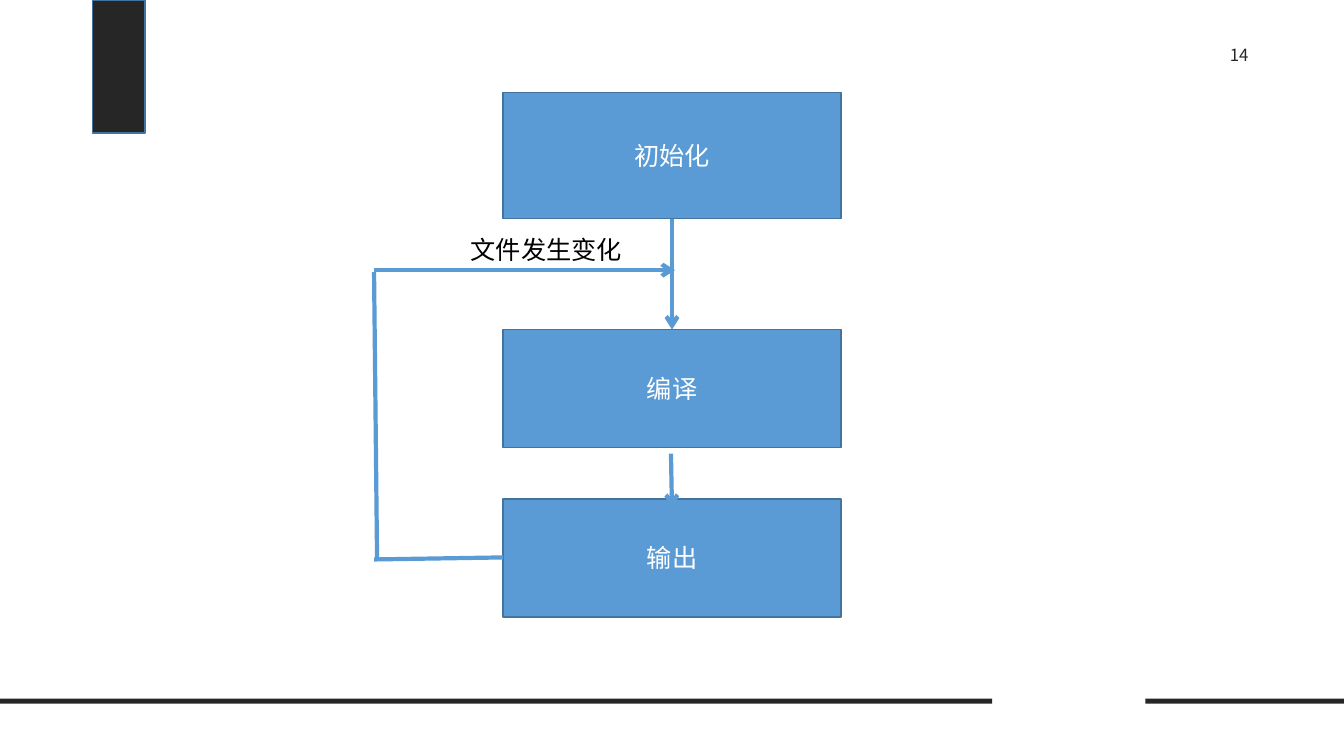
from dataclasses import dataclass

import pptx
import pptx.dml.color
import pptx.enum.shapes
import pptx.enum.text
import pptx.oxml.ns
import pptx.util
from lxml import etree

Inches = pptx.util.Inches
Align = pptx.enum.text.PP_ALIGN
Anchor = pptx.enum.text.MSO_ANCHOR


@dataclass(frozen=True)
class Theme:
    dark: str = "262626"
    blue: str = "5B9BD5"
    outline: str = "43739E"
    white: str = "FFFFFF"
    black: str = "000000"
    font: str = "DejaVu Sans"
    cjk_font: str = "Noto Sans CJK SC"
    body_size: int = 18
    number_size: int = 12
    outline_width: int = 1
    arrow_width: int = 3


THEME = Theme()


def rgb(color):
    return pptx.dml.color.RGBColor.from_string(color)


def write_text(shape, text, *, color, size=THEME.body_size, font=THEME.font,
               align=Align.LEFT, anchor=Anchor.TOP, wrap=True,
               insets=(0.1, 0.05, 0.1, 0.05)):
    frame = shape.text_frame
    frame.word_wrap = wrap
    frame.vertical_anchor = anchor
    frame.margin_left, frame.margin_top, frame.margin_right, frame.margin_bottom = map(Inches, insets)
    para = frame.paragraphs[0]
    para.alignment = align
    span = para.add_run()
    span.text = text
    span.font.name = font
    span.font.size = pptx.util.Pt(size)
    span.font.color.rgb = rgb(color)
    east_asian = etree.SubElement(span.font._element, pptx.oxml.ns.qn("a:ea"))
    east_asian.set("typeface", THEME.cjk_font)


def add_box(page, left, top, width, height, fill, outline=None):
    box = page.shapes.add_shape(pptx.enum.shapes.MSO_SHAPE.RECTANGLE,
                                *map(Inches, (left, top, width, height)))
    box.shadow.inherit = False
    box.fill.solid()
    box.fill.fore_color.rgb = rgb(fill)
    if outline:
        box.line.color.rgb = rgb(outline)
        box.line.width = pptx.util.Pt(THEME.outline_width)
    else:
        box.line.fill.background()
    return box


def add_line(page, start, end, arrow=False):
    line = page.shapes.add_connector(pptx.enum.shapes.MSO_CONNECTOR.STRAIGHT,
                                     *map(Inches, (*start, *end)))
    line.line.color.rgb = rgb(THEME.blue)
    line.line.width = pptx.util.Pt(THEME.arrow_width)
    if arrow:
        tail = etree.SubElement(line.line._get_or_add_ln(), pptx.oxml.ns.qn("a:tailEnd"))
        tail.set("type", "arrow")
    etree.SubElement(line._element.spPr, pptx.oxml.ns.qn("a:effectLst"))


def draw_frame(page, width, height):
    add_box(page, 0.92, 0, 0.52, 1.32, THEME.dark, THEME.outline)
    rule_top = height - 0.57
    for left, right in ((0, 9.84), (11.36, width)):
        add_box(page, left, rule_top, right - left, 0.05, THEME.dark)
    number = page.shapes.add_textbox(*map(Inches, (width - 1.44, 0.31, 0.9, 0.5)))
    write_text(number, "14", color=THEME.dark, size=THEME.number_size,
               font=THEME.cjk_font, align=Align.CENTER, wrap=False,
               insets=(0.2, 0.17, 0.3, 0.1))


def draw_flow(page, left, top, width):
    steps = (("初始化", 0, 1.25), ("编译", 2.35, 1.17), ("输出", 4.03, 1.17))
    for name, offset, height in steps:
        box = add_box(page, left, top + offset, width, height, THEME.blue, THEME.outline)
        write_text(box, name, color=THEME.white, align=Align.CENTER, anchor=Anchor.MIDDLE)

    center = left + width / 2
    compile_top = top + 2.35
    output_top = top + 4.03
    add_line(page, (center, top + 1.25), (center, compile_top), arrow=True)
    add_line(page, (center - 0.01, output_top - 0.45), (center, output_top + 0.09), arrow=True)

    loop_left = left - 1.28
    loop_top = top + 1.76
    loop_bottom = top + 4.63
    add_line(page, (left, loop_bottom - 0.02), (loop_left, loop_bottom))
    add_line(page, (loop_left + 0.03, loop_bottom), (loop_left, loop_top + 0.02))
    add_line(page, (loop_left, loop_top), (center + 0.03, loop_top), arrow=True)

    label = page.shapes.add_textbox(*map(Inches, (left - 0.42, loop_top - 0.4, 1.98, 0.4)))
    write_text(label, "文件发生变化", color=THEME.black)


def main():
    width, height = 13.33, 7.5
    deck = pptx.Presentation()
    deck.slide_width = Inches(width)
    deck.slide_height = Inches(height)
    page = deck.slides.add_slide(deck.slide_layouts[6])
    draw_frame(page, width, height)
    draw_flow(page, 4.99, 0.92, 3.35)
    deck.save("out.pptx")


if __name__ == "__main__":
    main()
